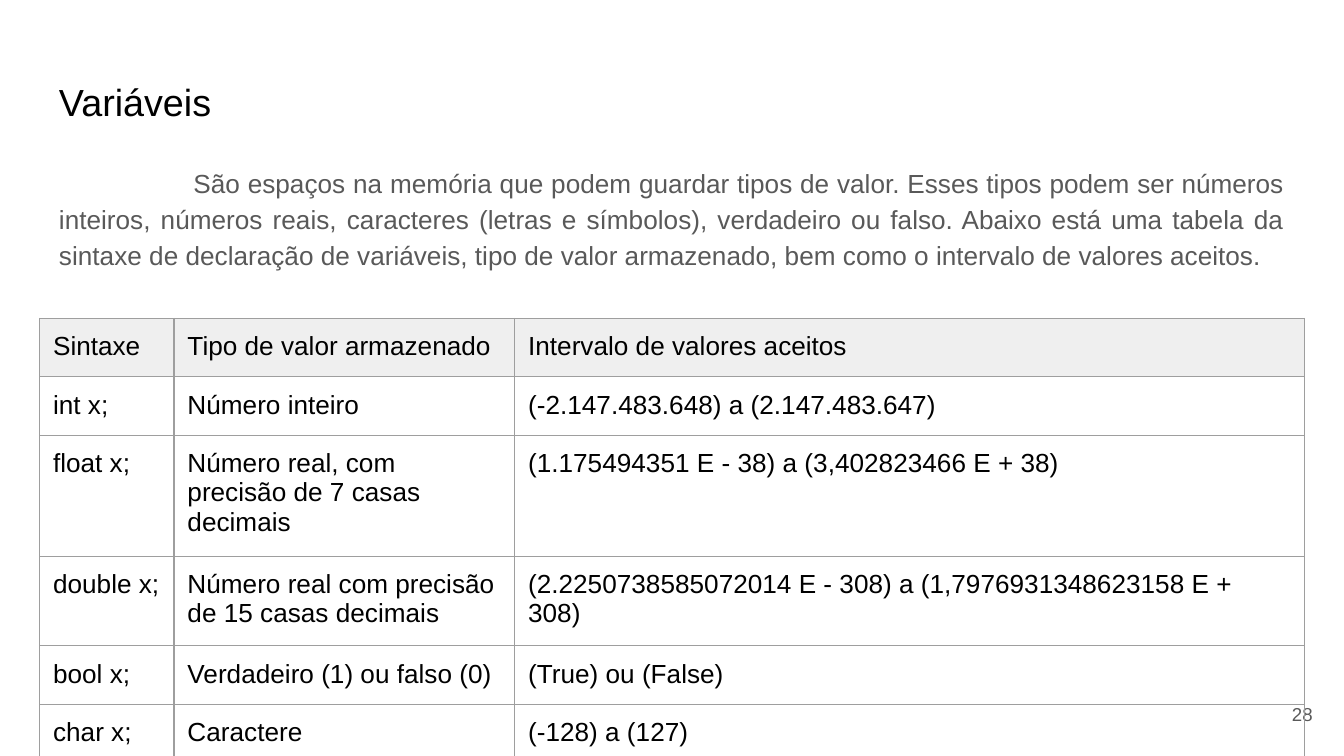
import pptx
import pptx.dml.color
import pptx.enum.text
import pptx.oxml
import pptx.oxml.ns
import pptx.util

ALIGN = pptx.enum.text.PP_ALIGN
ANCHOR = pptx.enum.text.MSO_ANCHOR


class VariablesSlide:
    """Style and current slide, measured in grid steps of a tenth of an inch."""

    font = "Arial"
    ink, muted, header_fill, rule = "000000", "595959", "EFEFEF", "9E9E9E"
    inset = 1
    body_size = 14
    plain_table = "{2D5ABB26-0587-4C30-8999-92F81FD0307C}"

    def __init__(self, presentation):
        self.slide = presentation.slides.add_slide(presentation.slide_layouts[6])

    @staticmethod
    def steps(count):
        return pptx.util.Inches(count / 10)

    @staticmethod
    def color(code):
        return pptx.dml.color.RGBColor.from_string(code)

    def style(self, paragraph, size, color):
        for run in paragraph.runs:
            run.font.name = self.font
            run.font.size = pptx.util.Pt(size)
            run.font.color.rgb = self.color(color)

    def pad(self, holder):
        for side in ("left", "right", "top", "bottom"):
            setattr(holder, f"margin_{side}", self.steps(self.inset))

    def text(self, wording, column, row, width, height, size, color,
             align=ALIGN.LEFT, anchor=ANCHOR.TOP):
        box = self.slide.shapes.add_textbox(*map(self.steps, (column, row, width, height)))
        frame = box.text_frame
        frame.word_wrap = True
        frame.vertical_anchor = anchor
        self.pad(frame)
        frame.text = wording
        paragraph = frame.paragraphs[0]
        paragraph.alignment = align
        self.style(paragraph, size, color)
        return paragraph

    def explanation(self, wording, column, row, width, height, indent):
        paragraph = self.text(wording, column, row, width, height,
                              self.body_size, self.muted, ALIGN.JUSTIFY)
        paragraph.line_spacing = 1.15
        paragraph.space_after = pptx.util.Pt(12)
        properties = paragraph._p.get_or_add_pPr()
        properties.set("marL", "0")
        properties.set("indent", str(self.steps(indent)))

    def borders(self, cell):
        properties = cell._tc.get_or_add_tcPr()
        for position, side in enumerate(("lnL", "lnR", "lnT", "lnB")):
            edge = pptx.oxml.parse_xml(
                f'<a:{side} {pptx.oxml.ns.nsdecls("a")} w="{pptx.util.Pt(0.75)}">'
                f'<a:solidFill><a:srgbClr val="{self.rule}"/></a:solidFill></a:{side}>')
            properties.insert(position, edge)

    def table(self, records, column, row, widths, row_height, frame_side):
        frame = self.slide.shapes.add_table(
            len(records), len(widths), self.steps(column), self.steps(row),
            self.steps(sum(widths)), row_height * len(records))
        table = frame.table
        table.first_row = table.horz_banding = False
        table._tbl.tblPr.find(pptx.oxml.ns.qn("a:tableStyleId")).text = self.plain_table
        for table_column, width in zip(table.columns, widths):
            table_column.width = self.steps(width)
        frame.width = frame.height = self.steps(frame_side)
        for index, record in enumerate(records):
            for cell, wording in zip(table.rows[index].cells, record):
                cell.text = wording
                self.pad(cell)
                self.style(cell.text_frame.paragraphs[0], self.body_size, self.ink)
                if index == 0:
                    cell.fill.solid()
                    cell.fill.fore_color.rgb = self.color(self.header_fill)
                else:
                    cell.fill.background()
                self.borders(cell)


def main():
    presentation = pptx.Presentation()
    presentation.slide_width = pptx.util.Pt(720)
    presentation.slide_height = pptx.util.Pt(405)
    page = VariablesSlide(presentation)

    page.text("Variáveis", 3.41, 4.87, 93.18, 6.3, 20.2, page.ink)
    page.text("28", 92.65, 51, 6, 4.3, 10, page.muted, ALIGN.RIGHT, ANCHOR.MIDDLE)
    page.explanation(
        "São espaços na memória que podem guardar tipos de valor. Esses tipos podem ser "
        "números inteiros, números reais, caracteres (letras e símbolos), verdadeiro ou "
        "falso. Abaixo está uma tabela da sintaxe de declaração de variáveis, tipo de "
        "valor armazenado, bem como o intervalo de valores aceitos.",
        3.41, 11.1, 93.18, 13.5, indent=10)

    variable_types = [
        ("Sintaxe", "Tipo de valor armazenado", "Intervalo de valores aceitos"),
        ("int x;", "Número inteiro", "(-2.147.483.648) a (2.147.483.647)"),
        ("float x;", "Número real, com precisão de 7 casas decimais",
         "(1.175494351 E - 38) a (3,402823466 E + 38)"),
        ("double x;", "Número real com precisão de 15 casas decimais",
         "(2.2250738585072014 E - 308) a (1,7976931348623158 E + 308)"),
        ("bool x;", "Verdadeiro (1) ou falso (0)", "(True) ou (False)"),
        ("char x;", "Caractere", "(-128) a (127)"),
    ]
    page.table(variable_types, 2.95, 23.7, widths=(10, 25.35, 58.75),
               row_height=pptx.util.Pt(30), frame_side=32.8)
    presentation.save("out.pptx")


if __name__ == "__main__":
    main()
